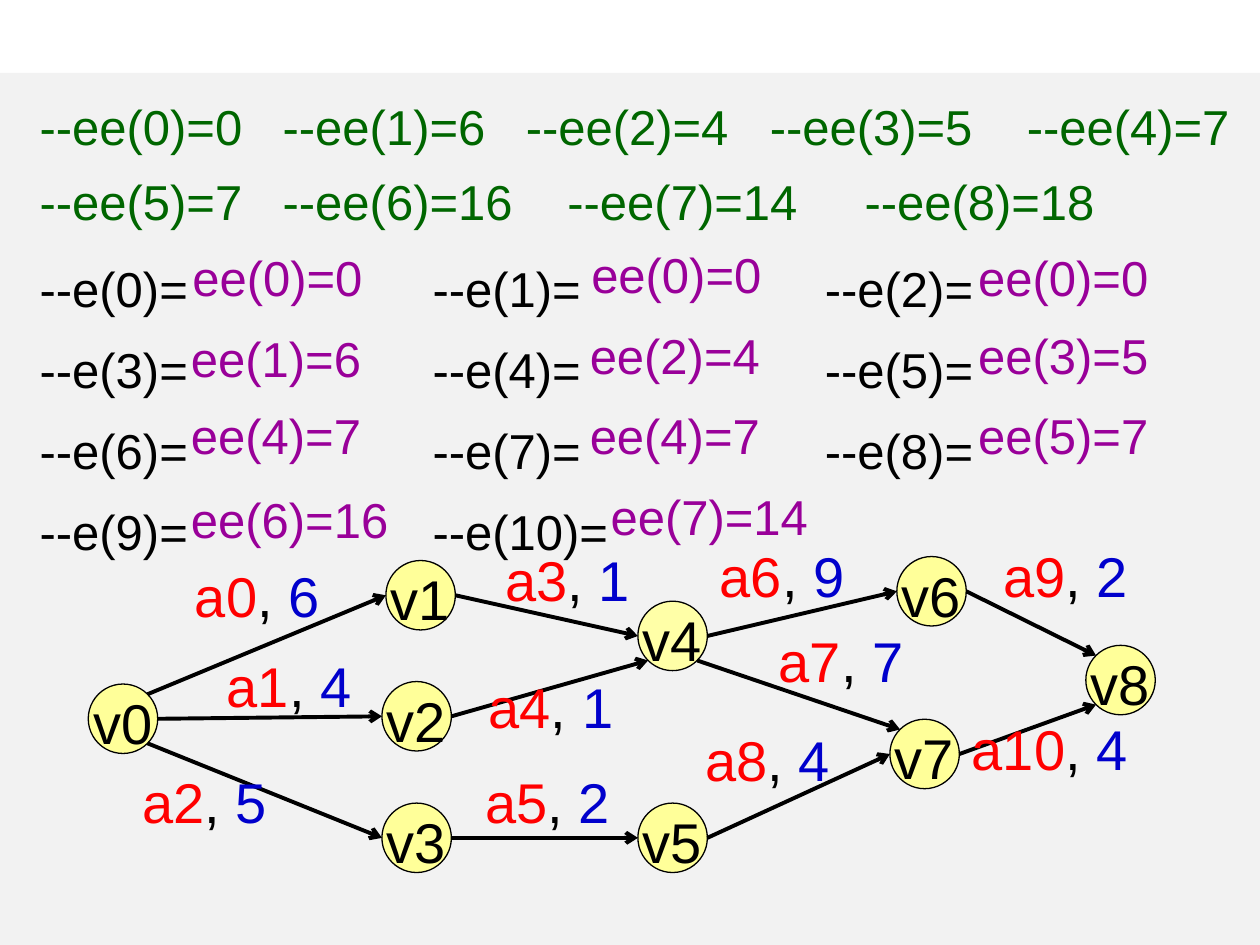
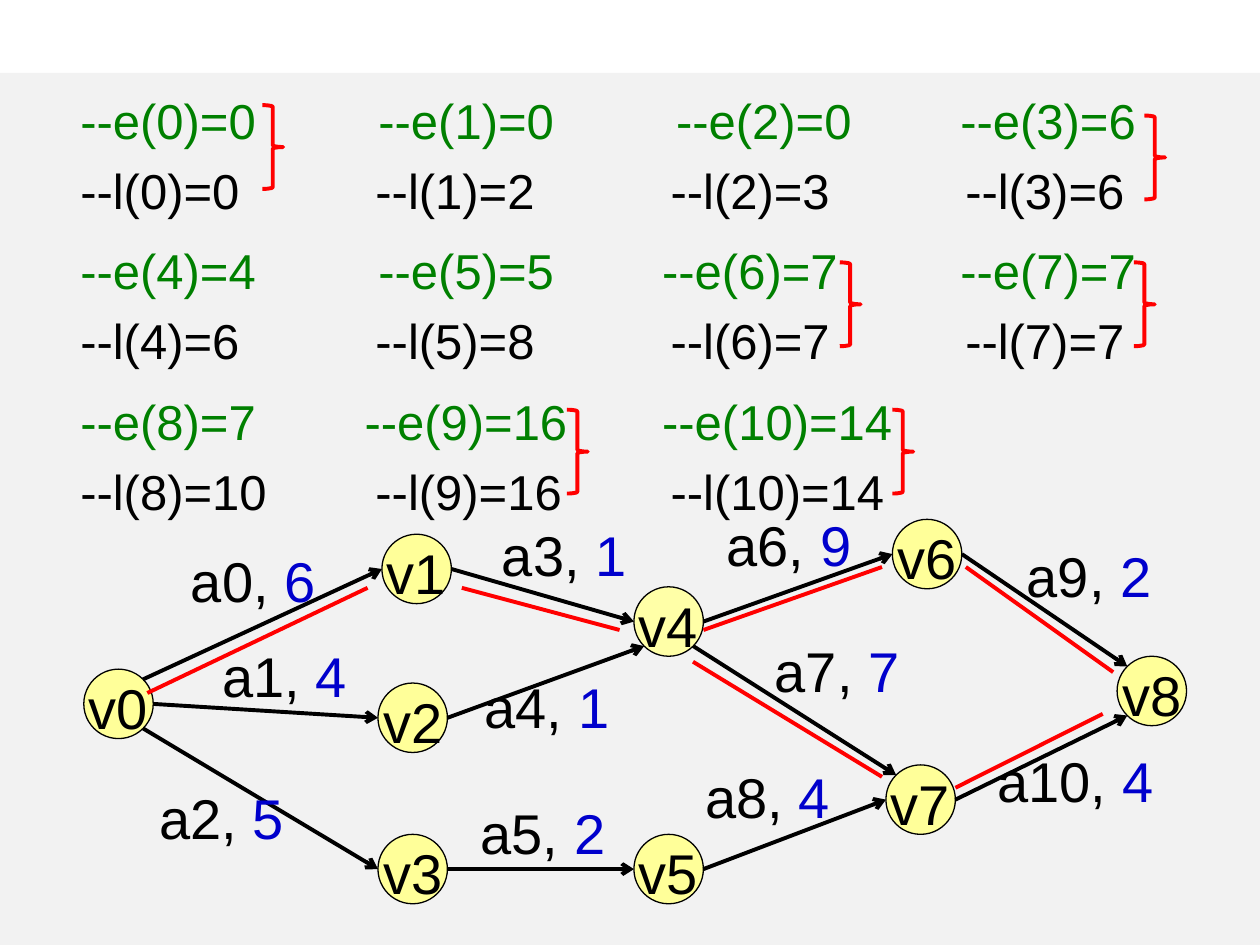
from math import cos, radians, sin

from lxml.etree import SubElement
from pptx import Presentation
from pptx.dml.color import RGBColor
from pptx.enum.shapes import MSO_CONNECTOR as Connector, MSO_SHAPE as Shape
from pptx.enum.text import MSO_ANCHOR as Anchor, PP_ALIGN as Align
from pptx.oxml.ns import qn
from pptx.util import Cm, Pt

FONT = "Arial"
BLACK, RED, BLUE, PURPLE = "000000", "FF0000", "0000CC", "990099"
DARK_GREEN, GREEN = "006600", "008000"
PANEL, NODE, NODE_V4 = "F2F2F2", "FFFF99", "FFFFA7"
RADIUS = 0.7
RIGHT, LOWER_RIGHT, LOWER_LEFT, LEFT, UPPER_LEFT, UPPER_RIGHT = 0, 45, 135, 180, 225, 315

# Each activity: start event, exit angle, end event, entry angle, duration.
ACTIVITIES = [
    (0, UPPER_RIGHT, 1, LEFT, 6),
    (0, RIGHT, 2, LEFT, 4),
    (0, LOWER_RIGHT, 3, LEFT, 5),
    (1, RIGHT, 4, LEFT, 1),
    (2, RIGHT, 4, LOWER_LEFT, 1),
    (3, RIGHT, 5, LEFT, 2),
    (4, RIGHT, 6, LEFT, 9),
    (4, LOWER_RIGHT, 7, UPPER_LEFT, 7),
    (5, RIGHT, 7, LEFT, 4),
    (6, RIGHT, 8, UPPER_LEFT, 2),
    (7, RIGHT, 8, LOWER_LEFT, 4),
]

EVENT_TIMES = [0, 6, 4, 5, 7, 7, 16, 14, 18]
EARLIEST = [0, 0, 0, 6, 4, 5, 7, 7, 7, 16, 14]
LATEST = [0, 2, 3, 6, 6, 8, 7, 7, 10, 16, 14]

EVENTS_1 = [(2.48, 14.49), (8.48, 12), (8.4, 14.44), (8.4, 16.89), (13.56, 12.82),
            (13.56, 16.89), (18.78, 11.92), (18.64, 15.2), (22.59, 13.71)]
LABELS_1 = [(3.68, 11.2), (4.32, 13), (2.62, 15.34), (9.94, 10.87), (9.6, 13.44), (9.53, 15.34),
            (14.26, 10.8), (15.45, 12.5), (13.97, 14.5), (19.98, 10.8), (19.34, 14.27)]
EVENTS_2 = [(2.39, 14.19), (8.4, 11.47), (8.32, 14.47), (8.32, 17.52), (13.48, 12.53),
            (13.48, 17.52), (18.69, 11.17), (18.56, 16.12), (23.22, 13.93)]
LABELS_2 = [(3.6, 10.9), (4.23, 12.8), (2.96, 15.67), (9.87, 10.36), (9.52, 13.44), (9.44, 15.98),
            (14.4, 10.16), (15.37, 12.7), (13.97, 15.24), (20.45, 10.8), (19.86, 14.92)]

# Each answer: source event, left, top.
ANSWERS = [
    (0, 3.63, 4.87), (0, 11.67, 4.8), (0, 19.47, 4.87),
    (1, 3.6, 6.5), (2, 11.64, 6.43), (3, 19.47, 6.43),
    (4, 3.6, 8.05), (4, 11.64, 8.05), (5, 19.47, 8.05),
    (6, 3.6, 9.74), (7, 12.06, 9.68),
]
BRACES = [(5.29, 2.12), (23.07, 2.33), (16.93, 5.29), (22.86, 5.29), (11.43, 8.26), (17.99, 8.26)]
CRITICAL_LINES = [
    (2.97, 13.97, 7.41, 11.85), (9.31, 11.85, 12.49, 12.7), (14.18, 12.7, 17.78, 11.43),
    (19.47, 11.43, 22.44, 13.55), (13.97, 13.34, 17.78, 15.66), (19.26, 15.88, 22.23, 14.39),
]


def rgb(color):
    """Turn a hex string into a colour."""
    return RGBColor.from_string(color)


def add_run(p, text, size, color):
    """Add one formatted run to a paragraph."""
    r = p.add_run()
    r.text = text
    r.font.name, r.font.size = FONT, Pt(size)
    r.font.color.rgb = rgb(color)


def add_tabs(p, stops):
    """Set the tab stops of a paragraph."""
    tabs = SubElement(p._p.get_or_add_pPr(), qn("a:tabLst"))
    for stop in stops:
        SubElement(tabs, qn("a:tab"), pos=str(Cm(stop)), algn="l")


def add_shape(s, kind, x, y, w, h, fill=None, line=None, width=0.75):
    """Add a preset shape without shadow."""
    sp = s.shapes.add_shape(kind, Cm(x), Cm(y), Cm(w), Cm(h))
    sp.shadow.inherit = False
    if fill:
        sp.fill.solid()
        sp.fill.fore_color.rgb = rgb(fill)
    else:
        sp.fill.background()
    if line:
        sp.line.color.rgb = rgb(line)
        sp.line.width = Pt(width)
    else:
        sp.line.fill.background()
    return sp


def add_panel(s, rows, inset, spacing):
    """Add the grey panel with rows of (colour, space before, tab stops, items)."""
    sp = add_shape(s, Shape.RECTANGLE, 0, 1.47, 25.4, 17.58, PANEL)
    tf = sp.text_frame
    tf.word_wrap, tf.vertical_anchor = True, Anchor.TOP
    tf.margin_left = Cm(inset)
    for i, (color, before, stops, items) in enumerate(rows):
        p = tf.add_paragraph() if i else tf.paragraphs[0]
        add_tabs(p, stops)
        p.alignment, p.line_spacing, p.space_before = Align.LEFT, spacing, Pt(before)
        add_run(p, "\t".join(items), 28, color)


def add_text(s, x, y, w, h, size, runs):
    """Add a one-line text box from (text, colour) runs."""
    tf = s.shapes.add_textbox(Cm(x), Cm(y), Cm(w), Cm(h)).text_frame
    tf.word_wrap = False
    for text, color in runs:
        add_run(tf.paragraphs[0], text, size, color)


def add_line(s, x1, y1, x2, y2, color, arrow=False):
    """Add a straight line, with an arrowhead at its end if wanted."""
    line = s.shapes.add_connector(Connector.STRAIGHT, Cm(x1), Cm(y1), Cm(x2), Cm(y2))
    line.line.color.rgb = rgb(color)
    line.line.width = Pt(2.25)
    if arrow:
        SubElement(line.line._get_or_add_ln(), qn("a:tailEnd"), type="arrow")
    SubElement(line._element.spPr, qn("a:effectLst"))


def add_event(s, number, center):
    """Add an event circle around its centre."""
    x, y = center
    sp = add_shape(s, Shape.OVAL, x - RADIUS, y - RADIUS, 2 * RADIUS, 2 * RADIUS,
                   NODE_V4 if number == 4 else NODE, BLACK)
    tf = sp.text_frame
    tf.word_wrap, tf.vertical_anchor = False, Anchor.MIDDLE
    p = tf.paragraphs[0]
    p.alignment, p.line_spacing = Align.CENTER, 1.1
    add_run(p, f"v{number}", 32, BLACK)


def rim(center, angle):
    """Give the point on an event's rim at an angle, clockwise from the right."""
    x, y = center
    return x + RADIUS * cos(radians(angle)), y + RADIUS * sin(radians(angle))


def add_network(s, events, labels, name_color):
    """Add the activity network: events, arrows and labels."""
    for number, center in enumerate(events):
        add_event(s, number, center)
    for i, (start, leave, end, enter, duration) in enumerate(ACTIVITIES):
        add_line(s, *rim(events[start], leave), *rim(events[end], enter), BLACK, arrow=True)
        runs = [(f"a{i}", name_color), (", ", BLACK), (str(duration), BLUE)]
        add_text(s, *labels[i], 3.68 if i > 9 else 3.05, 1.8, 32, runs)


def times(name, values, first, last):
    """List the entries for the indices from first up to last."""
    return [f"--{name}({i})={values[i]}" for i in range(first, min(last, len(values)))]


def build_earliest(prs):
    """Build the slide with the earliest start times."""
    s = prs.slides.add_slide(prs.slide_layouts[6])
    rows = [
        (DARK_GREEN, 0, [4.9, 9.8, 14.72, 19.9], times("ee", EVENT_TIMES, 0, 5)),
        (DARK_GREEN, 0, [4.9, 10.64, 16.63], times("ee", EVENT_TIMES, 5, 9)),
    ]
    blanks = [""] * len(ACTIVITIES)
    for first in range(0, len(blanks), 3):
        rows.append((BLACK, 3 if first else 6, [7.92, 15.83], times("e", blanks, first, first + 3)))
    add_panel(s, rows, 0.8, 1.29)
    add_network(s, EVENTS_1, LABELS_1, RED)
    for event, x, y in ANSWERS:
        value = EVENT_TIMES[event]
        add_text(s, x, y, 4.55 if value > 9 else 3.99, 1.6, 28, [(f"ee({event})={value}", PURPLE)])


def build_critical(prs):
    """Build the slide with the latest start times and the critical paths."""
    s = prs.slides.add_slide(prs.slide_layouts[6])
    early_stops = [[6.01, 12.01, 17.74], [6.01, 11.73, 17.74], [5.73, 11.73]]
    rows = []
    for i, stops in enumerate(early_stops):
        first, last = 4 * i, 4 * i + 4
        rows.append((GREEN, 6 if i else 0, stops, times("e", EARLIEST, first, last)))
        rows.append((BLACK, 0, [5.95, 11.9, 17.84], times("l", LATEST, first, last)))
    add_panel(s, rows, 1.62, 1.19)
    add_network(s, EVENTS_2, LABELS_2, BLACK)
    for x, y in BRACES:
        add_shape(s, Shape.RIGHT_BRACE, x, y, 0.42, 1.69, line=RED, width=2.25)
    for ends in CRITICAL_LINES:
        add_line(s, *ends, RED)


def main():
    """Build and save the slides."""
    prs = Presentation()
    prs.slide_width, prs.slide_height = Cm(25.4), Cm(19.05)
    build_earliest(prs)
    build_critical(prs)
    prs.save("out.pptx")


if __name__ == "__main__":
    main()
